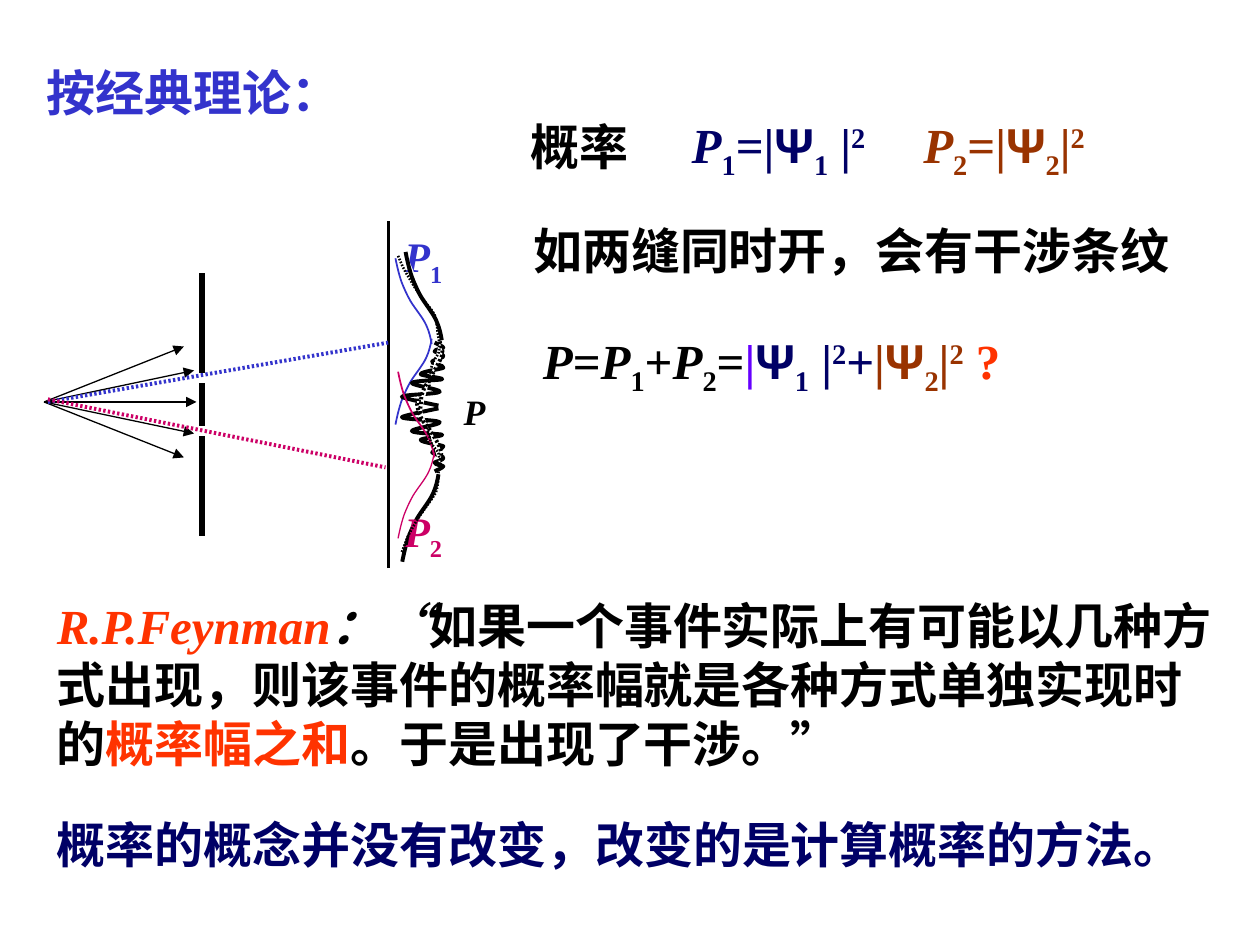
from lxml import etree
from pptx import Presentation
from pptx.dml.color import RGBColor
from pptx.enum.shapes import MSO_CONNECTOR, MSO_SHAPE
from pptx.enum.text import MSO_ANCHOR, PP_ALIGN
from pptx.oxml.ns import qn
from pptx.util import Pt

STRAIGHT = MSO_CONNECTOR.STRAIGHT
RECTANGLE = MSO_SHAPE.RECTANGLE
TOP, MIDDLE = MSO_ANCHOR.TOP, MSO_ANCHOR.MIDDLE
LEFT = PP_ALIGN.LEFT
COLORS = {
    "black": "000000", "white": "FFFFFF", "blue": "3333CC", "pink": "CC0066",
    "navy": "000066", "brown": "993300", "violet": "6600FF", "red": "FF3300",
}
RGB = {name: RGBColor.from_string(value) for name, value in COLORS.items()}
BASELINES = {"_": "-25000", "^": "30000"}

prs = Presentation()
prs.slide_width, prs.slide_height = Pt(720), Pt(540)
slide = prs.slides.add_slide(prs.slide_layouts[6])
shapes = slide.shapes


def draw_curve(knots, color, width, filled=False):
    points = [(Pt(x), Pt(y)) for x, y in knots]
    builder = shapes.build_freeform(*points[0])
    builder.add_line_segments(points[1:], close=False)
    curve = builder.convert_to_shape()
    segments = list(curve._element.iter(qn("a:lnTo")))
    for i in range(0, len(segments), 3):
        bezier = etree.Element(qn("a:cubicBezTo"))
        segments[i].addprevious(bezier)
        for segment in segments[i:i + 3]:
            bezier.append(segment[0])
            segment.getparent().remove(segment)
    curve.shadow.inherit = False
    if filled:
        curve.fill.solid()
        curve.fill.fore_color.rgb = RGB["white"]
    else:
        curve.fill.background()
    curve.line.color.rgb = RGB[color]
    curve.line.width = Pt(width)
    return curve


def write_runs(holder, runs, size=28, anchor=TOP, wrap=True):
    frame = holder.text_frame
    frame.word_wrap = wrap
    frame.vertical_anchor = anchor
    frame.paragraphs[0].alignment = LEFT
    for words, color, marks in runs:
        run = frame.paragraphs[0].add_run()
        run.text = words
        font = run.font
        font.size = Pt(size)
        font.bold = True
        font.italic = "i" in marks
        font.name = "Arial" if words == "Ψ" else "Times New Roman"
        font.color.rgb = RGB[color]
        for mark in marks:
            if mark in BASELINES:
                font._element.set("baseline", BASELINES[mark])


lobe = [(0, 0), (0.9, 4.5), (2, 9.2), (3.5, 13.6), (5, 17.4), (6.5, 20.8), (8.7, 24.6),
        (11.4, 29), (15.7, 34), (17.6, 38.2), (19.4, 42), (20.2, 46), (20.7, 49)]
fringes = [
    (250.6, 231.8), (247, 231.1), (229.7, 227.5), (229.7, 226.8),
    (229.7, 225.4), (249.8, 225.4), (251.3, 223.9), (252, 222.5), (235.4, 220.3), (235.4, 218.9),
    (236.2, 217.4), (252, 217.4), (252.7, 216.7), (253.4, 216), (239.8, 214.6), (240.5, 213.8),
    (240.5, 212.4), (252, 211), (253.4, 210.2), (254.2, 208.8), (247, 208.1), (247, 206.6),
    (247, 205.9), (253.4, 204.5), (253.4, 203.8), (254.2, 202.3), (249.1, 201.6), (248.4, 200.9),
    (248.4, 199.4), (253.4, 199.4), (253.4, 198.7), (253.4, 198), (249.8, 196.6), (248.4, 195.8)]
fringe_axis = 232.6
dotted = []

lobe_groups = [
    ("blue", [(226, 147.6, 1, 1), (226, 242.6, -1, 1)], ("1", 224, 128.2, 40, 51)),
    ("black", [(229.9, 321, -1.02, 2.25), (231.8, 144, 1.03, 2.25)], None),
    ("pink", [(227.5, 212.4, 1, 1), (227.5, 307.6, -1, 0.75)], ("2", 224, 285.2, 42, 42)),
]
for color, lobes, label in lobe_groups:
    for left, start, stretch, width in lobes:
        draw_curve([(left + x, start + stretch * y) for x, y in lobe],
                   color, width, filled=color == "black")
    if label:
        slit, *box = label
        write_runs(shapes.add_textbox(*map(Pt, box)),
                   [("P", color, "i"), (slit, color, "_")], size=24)
    else:
        draw_curve(fringes, color, 2.25, filled=True)
        draw_curve([(x, 2 * fringe_axis - y) for x, y in fringes], color, 2.25, filled=True)

source = (25.2, 229.7)
barrier = [((115.5, 306), (115.5, 156.2), "black", 3, "")]
slits = [((121.7, y), (109.4, y), "white", 6, "") for y in (216, 246.2)]
rays = [(source, (x, source[1] + rise), "black", 0.75, "arrow")
        for x, rise in ((110.9, -18), (110.9, 18), (105.1, -31.7), (112.3, 0), (105.1, 31.7))]
screen = [((222, 324.7), (222, 126), "black", 2.25, "")]
paths_to_screen = [((27.4, 229.7), (221.8, 195.8), "blue", 2.25, "dots"),
                   ((27.4, 228.2), (220.3, 267.1), "pink", 2.25, "dots")]
for start, end, color, width, style in barrier + slits + rays + screen + paths_to_screen:
    ray = shapes.add_connector(STRAIGHT, *map(Pt, start + end))
    ray.line.color.rgb = RGB[color]
    ray.line.width = Pt(width)
    if style == "dots":
        dotted.append(ray)
    if style == "arrow":
        etree.SubElement(ray.line._get_or_add_ln(), qn("a:tailEnd"), type="triangle")
    etree.SubElement(ray._element.spPr, qn("a:effectLst"))

total_label = shapes.add_shape(RECTANGLE, Pt(257.8), Pt(219.2), Pt(64), Pt(32.4))
total_label.shadow.inherit = False
total_label.fill.solid()
total_label.fill.fore_color.rgb = RGB["white"]
total_label.line.fill.background()
write_runs(total_label, [("P", "black", "i")], size=20.4)

dotted_curves = [
    (2.25, True, [
        (251.3, 265.7), (251.3, 264.2), (252.7, 260.6), (252, 257.8), (251.3, 254.2),
        (247.7, 249.1), (245.5, 245.5), (243.4, 242.6), (241.2, 240.5), (240.5, 238.3),
        (239, 235.4), (238.3, 231.8), (238.3, 229.7), (238.3, 227.5), (238.3, 226.1), (238.3, 225.4)]),
    (1.5, False, [
        (229.7, 315.4), (230.4, 313.9), (231.8, 309.6), (233.3, 306), (235.4, 302.4),
        (238.3, 296.6), (241.2, 293), (244.1, 288.7), (247, 285.1), (249.1, 281.5),
        (250.6, 277.2), (250.6, 271.4), (250.6, 267.8), (251.3, 264.2), (251.3, 262.1),
        (250.6, 259.2), (249.8, 257), (247, 254.9), (246.2, 252.7), (245.5, 249.8),
        (244.8, 246.2), (244.1, 244.8), (244.1, 242.6), (244.1, 240.5), (244.1, 239.8)]),
    (2.25, True, [
        (251.3, 195.1), (251.3, 196.6), (253.4, 199.4), (252.7, 203), (251.3, 206.6),
        (248.4, 211.7), (246.2, 215.3), (244.8, 218.9), (242.6, 220.3), (241.9, 223.2),
        (240.5, 226.1), (240.5, 229.7), (240.5, 231.8), (239.8, 234), (240.5, 235.4), (240.5, 236.2)]),
    (1.5, False, [
        (227.5, 146.2), (228.2, 147.6), (229.7, 151.9), (231.8, 155.5), (234, 159.1),
        (236.9, 164.2), (239.8, 168.5), (242.6, 172.8), (246.2, 175.7), (248.4, 180),
        (249.8, 183.6), (249.8, 189.4), (250.6, 193), (251.3, 196.6), (251.3, 198.7),
        (250.6, 201.6), (249.8, 203.8), (247.7, 205.9), (247, 208.1), (246.2, 211),
        (245.5, 214.6), (245.5, 216.7), (244.8, 218.2), (245.5, 220.3), (245.5, 221)]),
]
for width, filled, knots in dotted_curves:
    dotted.append(draw_curve(knots, "black", width, filled))

for stroke in dotted:
    dashes = etree.SubElement(stroke.line._get_or_add_ln(), qn("a:custDash"))
    etree.SubElement(dashes, qn("a:ds"), d="60000", sp="60000")

amplitude_1 = [("Ψ", "navy", ""), ("1", "navy", "_"), (" |", "navy", ""), ("2", "navy", "^")]
amplitude_2 = [("Ψ", "brown", ""), ("2", "brown", "_"), ("|", "brown", ""), ("2", "brown", "^")]
statements = [
    ((295.9, 63.2, 94.3, 41), [("概率", "black", "")]),
    ((297.6, 122.7, 414, 41), [("如两缝同时开，会有干涉条纹", "black", "")]),
    ((303.1, 185.3, 317.5, 45.4), [
        ("P", "black", "i"), ("=", "black", ""), ("P", "black", "i"), ("1", "black", "_"),
        ("+", "black", ""), ("P", "black", "i"), ("2", "black", "_"), ("=", "black", ""),
        ("|", "violet", ""), *amplitude_1, ("+", "navy", ""), ("|", "brown", ""),
        *amplitude_2, (" ?", "red", "")]),
    ((19.5, 32, 283.7, 41), [("按经典理论：", "blue", "")]),
    ((25.4, 337, 680.4, 108), [
        ("R.P.Feynman", "red", "i"), ("：“", "black", "i"),
        ("如果一个事件实际上有可能以几种方式出现，则该事件的概率幅就是各种方式单独实现时的", "black", ""),
        ("概率幅之和", "red", ""), ("。于是出现了干涉。”", "black", "")]),
    ((25.5, 461.8, 674.6, 41), [("概率的概念并没有改变，改变的是计算概率的方法。", "navy", "")]),
]
for box, runs in statements:
    write_runs(shapes.add_textbox(*map(Pt, box)), runs)

slit_formulas = [
    ((388.2, 54.7, 116, 59.8), "1", "navy", amplitude_1),
    ((520.5, 54.7, 128.9, 59.8), "2", "brown", amplitude_2),
]
for box, slit, color, amplitude in slit_formulas:
    write_runs(shapes.add_textbox(*map(Pt, box)),
               [("P", color, "i"), (slit, color, "_"), ("=|", color, ""), *amplitude],
               anchor=MIDDLE, wrap=False)

prs.save("out.pptx")
